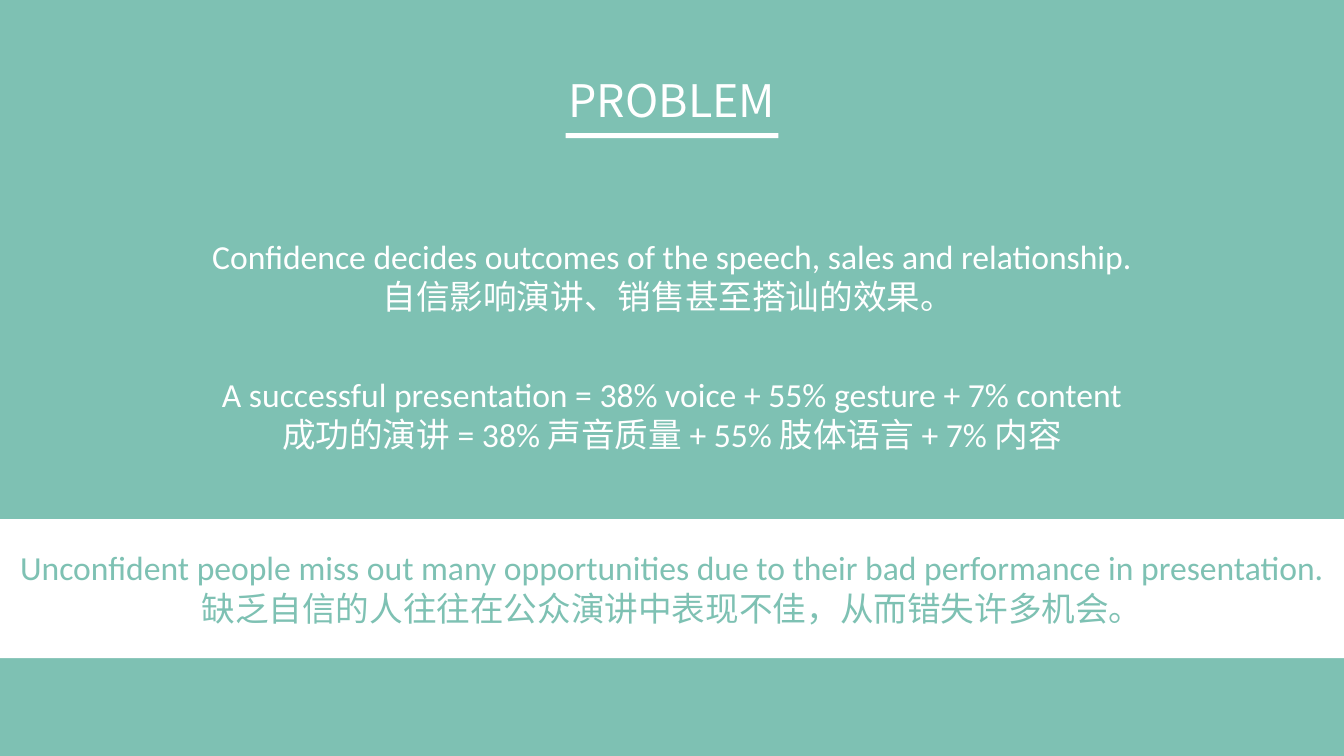
from dataclasses import dataclass

from pptx import Presentation
from pptx import util as u
from pptx.dml.color import RGBColor
from pptx.enum import shapes, text

GREEN = "7EC1B3"
WHITE = "FFFFFF"
WIDTH = 13.33
HEIGHT = 7.5


@dataclass
class Band:
    left: float
    top: float
    width: float
    height: float
    color: str


@dataclass
class Caption:
    top: float
    lines: tuple[str, ...]
    color: str = WHITE
    size: int = 24
    font: str = "Calibri"
    spacing: float = 1.0


BANDS = [
    Band(0, 0, WIDTH, HEIGHT, GREEN),
    Band(5.61, 1.32, 2.11, 0.05, WHITE),
    Band(0, 5.15, WIDTH, 1.38, WHITE),
]

CAPTIONS = [
    Caption(0.41, ("PROBLEM",), size=32, font="Noto Sans CJK SC", spacing=1.5),
    Caption(2.29, (
        "Confidence decides outcomes of the speech, sales and relationship.",
        "自信影响演讲、销售甚至搭讪的效果。 ",
    )),
    Caption(3.66, (
        "A successful presentation = 38% voice + 55% gesture + 7% content",
        "成功的演讲 = 38% 声音质量 + 55% 肢体语言 + 7% 内容",
    )),
    Caption(5.38, (
        "Unconfident people miss out many opportunities due to their bad performance in presentation.",
        "缺乏自信的人往往在公众演讲中表现不佳，从而错失许多机会。",
    ), color=GREEN),
]


def rgb(color: str) -> RGBColor:
    return RGBColor.from_string(color)


def draw_band(s, band: Band) -> None:
    sp = s.shapes.add_shape(
        shapes.MSO_SHAPE.RECTANGLE,
        u.Inches(band.left), u.Inches(band.top),
        u.Inches(band.width), u.Inches(band.height),
    )
    sp.shadow.inherit = False
    sp.fill.solid()
    sp.fill.fore_color.rgb = rgb(band.color)
    sp.line.fill.background()


def draw_caption(s, caption: Caption) -> None:
    sp = s.shapes.add_textbox(
        0, u.Inches(caption.top), u.Inches(WIDTH), u.Inches(0.91)
    )
    tf = sp.text_frame
    tf.word_wrap = True
    tf.auto_size = text.MSO_AUTO_SIZE.SHAPE_TO_FIT_TEXT
    tf.text = "\n".join(caption.lines)
    for p in tf.paragraphs:
        p.alignment = text.PP_ALIGN.CENTER
        p.line_spacing = caption.spacing
        p.font.name = caption.font
        p.font.size = u.Pt(caption.size)
        p.font.color.rgb = rgb(caption.color)


def main() -> None:
    prs = Presentation()
    prs.slide_width = u.Inches(WIDTH)
    prs.slide_height = u.Inches(HEIGHT)
    s = prs.slides.add_slide(prs.slide_layouts[6])
    for band in BANDS:
        draw_band(s, band)
    for caption in CAPTIONS:
        draw_caption(s, caption)
    prs.save("out.pptx")


if __name__ == "__main__":
    main()
